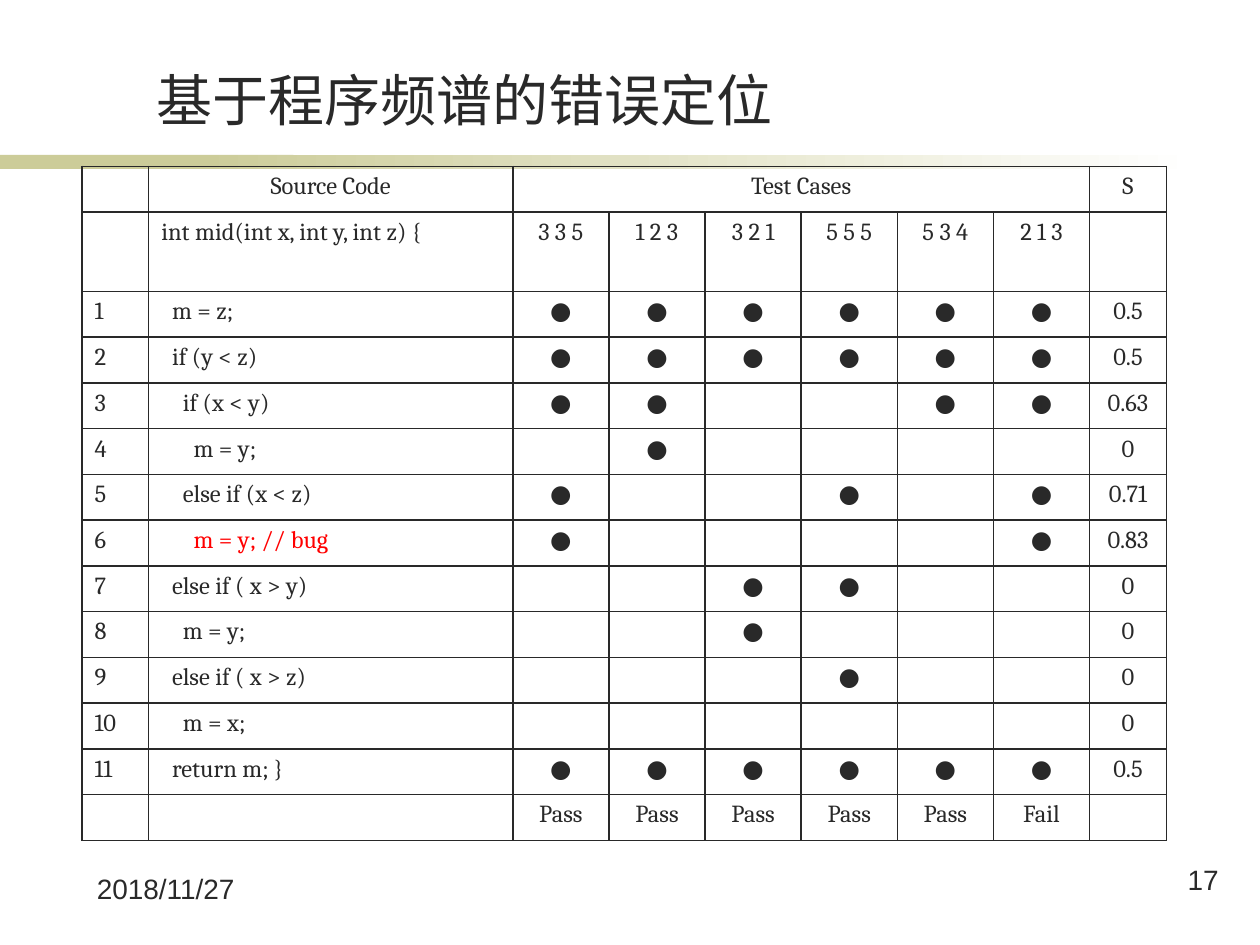
from typing import NamedTuple

from lxml.etree import SubElement
from pptx import Presentation
from pptx.dml.color import RGBColor
from pptx.enum.shapes import MSO_SHAPE as Shape
from pptx.enum.text import MSO_ANCHOR as Anchor, PP_ALIGN as Align
from pptx.oxml.ns import qn
from pptx.util import Inches, Pt

COLORS = {"ink": "292929", "olive": "CCCC99", "white": "FFFFFF", "bug": "FF0000"}
CODE_FONT, CODE_SIZE = "Cambria", 14
CASES = ["3 3 5", "1 2 3", "3 2 1", "5 5 5", "5 3 4", "2 1 3"]
RESULTS = ["Pass"] * 5 + ["Fail"]

TABLE_LEFT, TABLE_TOP, TABLE_WIDTH, TABLE_HEIGHT = 0.65, 1.32, 8.61, 5.35
NUMBER_WIDTH, CODE_WIDTH, SCORE_WIDTH = 0.53, 2.89, 0.61
SIGNATURE_HEIGHT = 0.63
SCORE_COLUMN = 2 + len(CASES)


class Statement(NamedTuple):
    code: str
    covered: str  # one digit per test case, 1 where the case runs the statement
    score: str
    color: str = "ink"


class Label(NamedTuple):
    text: str
    left: float
    top: float
    width: float
    height: float
    size: int
    font: str
    align: Align = Align.LEFT
    anchor: Anchor = Anchor.TOP


STATEMENTS = [
    Statement("  m = z;", "111111", "0.5"),
    Statement("  if (y < z)", "111111", "0.5"),
    Statement("    if (x < y)", "110011", "0.63"),
    Statement("      m = y;", "010000", "0"),
    Statement("    else if (x < z)", "100101", "0.71"),
    Statement("      m = y; // bug", "100001", "0.83", "bug"),
    Statement("  else if ( x > y)", "001100", "0"),
    Statement("    m = y;", "001000", "0"),
    Statement("  else if ( x > z)", "000100", "0"),
    Statement("    m = x;", "000000", "0"),
    Statement("  return m; }", "111111", "0.5"),
]

LABELS = [
    Label("基于程序频谱的错误定位", 1.14, 0.44, 7.32, 0.66, 32,
          "Noto Sans CJK SC", anchor=Anchor.BOTTOM),
    Label("2018/11/27", 0.67, 6.87, 1.41, 0.5, 16, "Arial"),
    Label("17", 8.75, 6.8, 1.02, 0.5, 16, "Arial", Align.RIGHT),
]


def rgb(name: str) -> RGBColor:
    return RGBColor.from_string(COLORS[name])


def add_span(para, text: str, size: int, font: str, color: str = "ink") -> None:
    span = para.add_run()
    span.text = text
    span.font.size = Pt(size)
    span.font.name = font
    span.font.color.rgb = rgb(color)
    SubElement(span.font._element, qn("a:ea"), typeface=font)


def add_label(page, label: Label) -> None:
    box = page.shapes.add_textbox(Inches(label.left), Inches(label.top),
                                  Inches(label.width), Inches(label.height))
    frame = box.text_frame
    frame.word_wrap = True
    frame.vertical_anchor = label.anchor
    para = frame.paragraphs[0]
    para.alignment = label.align
    add_span(para, label.text, label.size, label.font)


def add_band(page, left: float, width: float, fades: bool) -> None:
    band = page.shapes.add_shape(Shape.RECTANGLE, Inches(left), Inches(1.23),
                                 Inches(width), Inches(0.11))
    band.shadow.inherit = False
    band.line.fill.background()
    if fades:
        band.fill.gradient()
        band.fill.gradient_angle = 0
        for stop, color in zip(band.fill.gradient_stops, ("olive", "white")):
            stop.color.rgb = rgb(color)
    else:
        band.fill.solid()
        band.fill.fore_color.rgb = rgb("olive")


def style_cell(cell) -> None:
    """Give a cell thin borders, no fill and the code size even when empty."""
    properties = cell._tc.get_or_add_tcPr()
    for side in ("lnL", "lnR", "lnT", "lnB"):
        border = SubElement(properties, qn(f"a:{side}"), w=str(Pt(1)))
        fill = SubElement(border, qn("a:solidFill"))
        SubElement(fill, qn("a:srgbClr"), val=COLORS["ink"])
    cell.fill.background()
    if not cell.text:
        SubElement(cell.text_frame.paragraphs[0]._p, qn("a:endParaRPr"),
                   sz=str(CODE_SIZE * 100))


def write_cell(cell, text: str, align: Align = Align.CENTER, color: str = "ink") -> None:
    para = cell.text_frame.paragraphs[0]
    para.alignment = align
    add_span(para, text, CODE_SIZE, CODE_FONT, color)


def add_spectrum_table(page) -> None:
    row_count = len(STATEMENTS) + 3
    table = page.shapes.add_table(
        row_count, SCORE_COLUMN + 1, Inches(TABLE_LEFT), Inches(TABLE_TOP),
        Inches(TABLE_WIDTH), Inches(TABLE_HEIGHT)).table
    table.first_row = table.horz_banding = False

    case_width = (TABLE_WIDTH - NUMBER_WIDTH - CODE_WIDTH - SCORE_WIDTH) / len(CASES)
    widths = [NUMBER_WIDTH, CODE_WIDTH] + [case_width] * len(CASES) + [SCORE_WIDTH]
    for column, width in zip(table.columns, widths):
        column.width = Inches(width)
    for row in table.rows:
        row.height = Inches((TABLE_HEIGHT - SIGNATURE_HEIGHT) / (row_count - 1))
    table.rows[1].height = Inches(SIGNATURE_HEIGHT)

    table.cell(0, 2).merge(table.cell(0, SCORE_COLUMN - 1))
    for column, heading in ((1, "Source Code"), (2, "Test Cases"), (SCORE_COLUMN, "S")):
        write_cell(table.cell(0, column), heading)
    write_cell(table.cell(1, 1), "int mid(int x, int y, int z) {", Align.LEFT)
    for column, (case, result) in enumerate(zip(CASES, RESULTS), 2):
        write_cell(table.cell(1, column), case)
        write_cell(table.cell(row_count - 1, column), result)

    for number, statement in enumerate(STATEMENTS, 1):
        row = number + 1
        write_cell(table.cell(row, 0), str(number), Align.LEFT)
        write_cell(table.cell(row, 1), statement.code, Align.LEFT, statement.color)
        for column, mark in enumerate(statement.covered, 2):
            if mark == "1":
                write_cell(table.cell(row, column), "●")
        write_cell(table.cell(row, SCORE_COLUMN), statement.score)

    for cell in table.iter_cells():
        style_cell(cell)


def main() -> None:
    deck = Presentation()
    deck.slide_width, deck.slide_height = Inches(10), Inches(7.5)
    page = deck.slides.add_slide(deck.slide_layouts[6])
    add_band(page, 0, 2.33, fades=False)
    add_band(page, 1.58, 7.92, fades=True)
    for label in LABELS:
        add_label(page, label)
    add_spectrum_table(page)
    deck.save("out.pptx")


if __name__ == "__main__":
    main()
